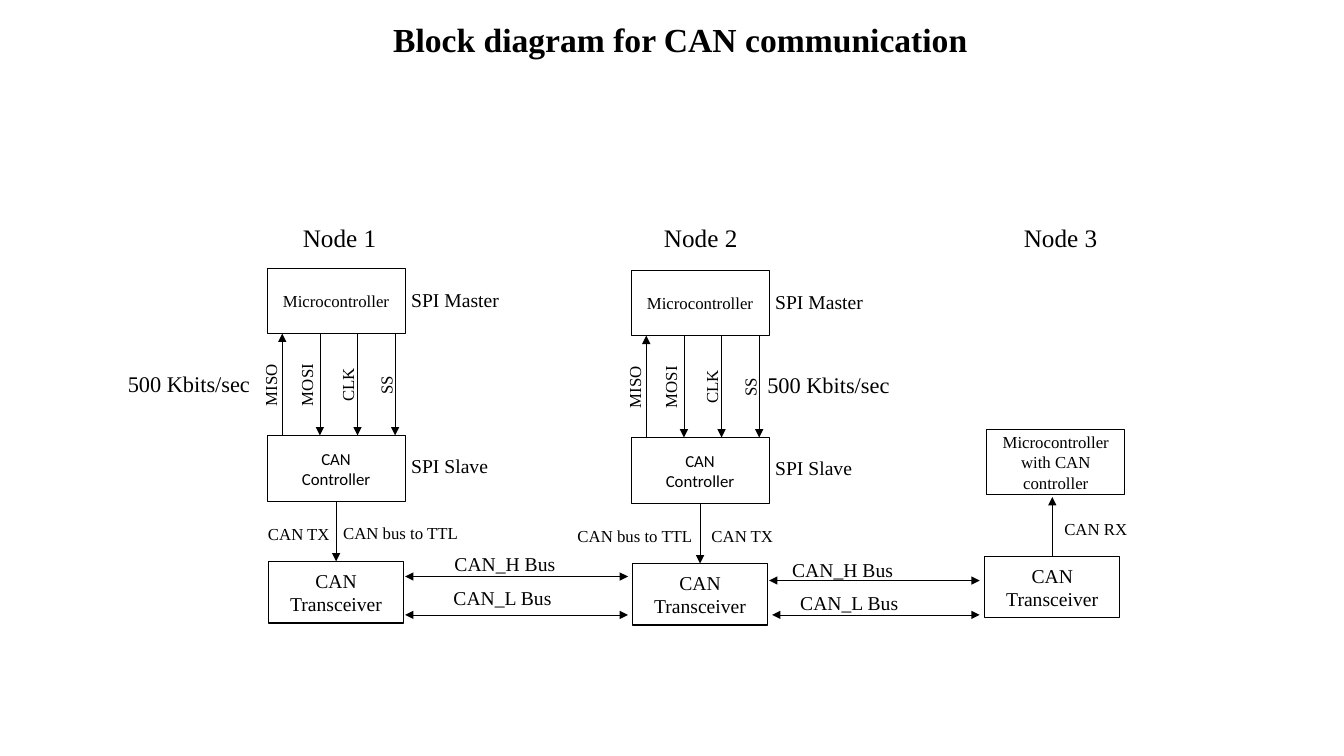
from pptx import Presentation
from pptx.dml.color import RGBColor
from pptx.enum.shapes import MSO_CONNECTOR, MSO_SHAPE
from pptx.enum.text import MSO_ANCHOR, MSO_AUTO_SIZE, PP_ALIGN
from pptx.oxml.ns import qn
from pptx.util import Pt
from lxml.etree import SubElement

COLORS = {"ink": "000000", "paper": "FFFFFF"}
SERIF, SANS = "Times New Roman", "Calibri"
TOP, BOTTOM = 0, 2
NODE_1 = (190.8, 191.5)
NODE_2 = (450.8, 193)
SIGNALS = [("MISO", 2.5), ("MOSI", 28.1), ("CLK", 57.4), ("SS", 84.9)]
SIGNAL_STEP = 26.9


def color(name):
    return RGBColor.from_string(COLORS[name])


def write(tf, text, size, font=SERIF, align=PP_ALIGN.LEFT, bold=False):
    tf.word_wrap = True
    tf.text = text
    for p in tf.paragraphs:
        p.alignment = align
        p.font.size = Pt(size)
        p.font.name = font
        p.font.bold = bold
        p.font.color.rgb = color("ink")


def add_title(s, text):
    sp = s.shapes.title
    sp.left, sp.top, sp.width, sp.height = Pt(273.6), Pt(10.1), Pt(440), Pt(36)
    write(sp.text_frame, text, 24, bold=True)
    sp.text_frame.auto_size = MSO_AUTO_SIZE.NONE
    sp.text_frame.vertical_anchor = MSO_ANCHOR.TOP


def add_label(s, text, x, y, size, width=110, align=PP_ALIGN.LEFT):
    sp = s.shapes.add_textbox(Pt(x), Pt(y), Pt(width), Pt(size * 1.2 + 7.2))
    write(sp.text_frame, text, size, align=align)
    return sp


def add_box(s, text, x, y, w, h, size=12, font=SERIF, line=0.75):
    sp = s.shapes.add_shape(MSO_SHAPE.RECTANGLE, Pt(x), Pt(y), Pt(w), Pt(h))
    sp.shadow.inherit = False
    sp.fill.solid()
    sp.fill.fore_color.rgb = color("paper")
    sp.line.color.rgb = color("ink")
    sp.line.width = Pt(line)
    write(sp.text_frame, text, size, font, PP_ALIGN.CENTER)
    sp.text_frame.vertical_anchor = MSO_ANCHOR.MIDDLE
    return sp


def add_microcontroller(s, text, x, y):
    return add_box(s, text, x, y, 98.6, 46.8)


def add_transceiver(s, x, y):
    return add_box(s, "CAN Transceiver", x, y, 96.5, 43.9, size=14, line=1)


def add_arrow(s, x1, y1, x2, y2, both=False):
    line = s.shapes.add_connector(
        MSO_CONNECTOR.STRAIGHT, Pt(x1), Pt(y1), Pt(x2), Pt(y2))
    line.line.color.rgb = color("ink")
    line.line.width = Pt(0.5)
    ln = line.line._get_or_add_ln()
    for end in ("a:headEnd", "a:tailEnd") if both else ("a:tailEnd",):
        SubElement(ln, qn(end), type="triangle")
    SubElement(line._element.spPr, qn("a:effectLst"))
    return line


def add_signals(s, x, y):
    for i, (name, label_x) in enumerate(SIGNALS):
        line_x = x + 10.8 + i * SIGNAL_STEP
        ends = (y + 46.8, y + 119.5)
        start, stop = reversed(ends) if name == "MISO" else ends
        add_arrow(s, line_x, start, line_x, stop)
        sp = add_label(s, name, x + label_x - 30, y + 72.7, 12, 60,
                       PP_ALIGN.CENTER)
        sp.rotation = 270


def add_spi_node(s, x, y):
    add_microcontroller(s, "Microcontroller", x, y)
    controller = add_box(s, "CAN\nController", x, y + 119.5, 98.6, 47.5,
                         font=SANS)
    transceiver = add_transceiver(s, x + 1.05, y + 209.5)
    add_signals(s, x, y)
    add_label(s, "SPI Master", x + 95.8, y + 10.8, 14)
    add_label(s, "SPI Slave", x + 95.8, y + 128.9, 14)
    link = add_arrow(s, x + 49.3, y + 167, x + 49.3, y + 209.5)
    link.begin_connect(controller, BOTTOM)
    link.end_connect(transceiver, TOP)


def add_can_node(s):
    add_microcontroller(s, "Microcontroller with CAN controller", 704.9, 306.7)
    transceiver = add_transceiver(s, 703.4, 397.4)
    link = add_arrow(s, 751.65, 397.4, 751.65, 355)
    link.begin_connect(transceiver, TOP)
    add_label(s, "CAN RX", 753.1, 367.2, 12)


def add_bus(s, name, x1, x2, y, label_x, label_y):
    add_arrow(s, x1, y, x2, y, both=True)
    add_label(s, name, label_x, label_y, 14)


def main():
    prs = Presentation()
    prs.slide_width, prs.slide_height = Pt(960), Pt(540)
    s = prs.slides.add_slide(prs.slide_layouts[5])
    add_title(s, "Block diagram for CAN communication")

    for i, center in enumerate((242.5, 500.5, 757.5), 1):
        add_label(s, f"Node {i}", center - 55, 155, 18, align=PP_ALIGN.CENTER)

    add_spi_node(s, *NODE_1)
    add_spi_node(s, *NODE_2)
    add_can_node(s)

    for text, x, y, size in (
        ("500 Kbits/sec", 84.2, 260.6, 16),
        ("500 Kbits/sec", 541, 261.4, 16),
        ("CAN TX", 184.3, 370.8, 12),
        ("CAN bus to TTL", 238, 370, 12),
        ("CAN bus to TTL", 405.4, 372.2, 12),
        ("CAN TX", 501.1, 372.2, 12),
    ):
        add_label(s, text, x, y, size)

    add_bus(s, "CAN_H Bus", 289.4, 448.6, 411.8, 317.5, 391)
    add_bus(s, "CAN_L Bus", 289.4, 448.6, 439.2, 316.8, 414.7)
    add_bus(s, "CAN_H Bus", 549.4, 699.8, 414.7, 558.7, 394.6)
    add_bus(s, "CAN_L Bus", 551.5, 699.8, 439.2, 564.5, 418.3)
    prs.save("out.pptx")


if __name__ == "__main__":
    main()
